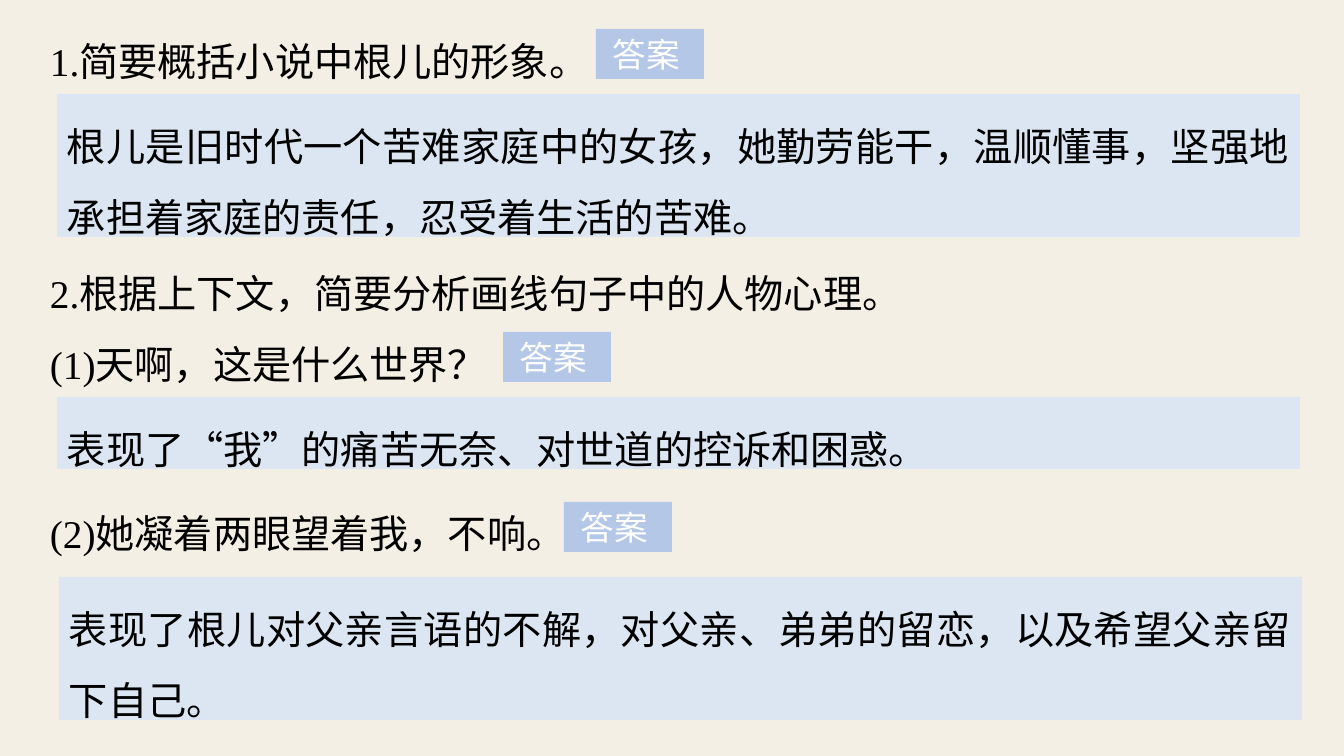
from pptx import Presentation
from pptx.dml.color import RGBColor as Rgb
from pptx.enum.shapes import MSO_SHAPE as Kind
from pptx.enum.text import MSO_ANCHOR as Anchor, PP_ALIGN as Align
from pptx.util import Pt
from lxml.etree import SubElement as Sub
from pptx.oxml.ns import qn

SCALE = 914400 / 100.8
HEX = {"page": "F3EFE5", "ink": "000000", "panel": "DCE6F2",
       "tag": "B4C7E7", "light": "FFFFFF"}
SERIF, SANS, HAN = "Times New Roman", "Arial", "Noto Sans CJK SC"


def px(num):
    return round(num * SCALE)


def style(run, size, face, color):
    font = run.font
    font.size = Pt(size)
    font.name = face
    font.color.rgb = Rgb.from_string(HEX[color])
    # East Asian typeface
    Sub(run._r.get_or_add_rPr(), qn("a:ea")).set("typeface", HAN)


def inset(frame, left, top, right):
    frame.word_wrap = True
    frame.vertical_anchor = Anchor.TOP
    frame.margin_left, frame.margin_right = px(left), px(right)
    frame.margin_top = frame.margin_bottom = px(top)


def body(para):
    para.alignment = Align.JUSTIFY
    para.line_spacing = 1.5
    for run in para.runs:
        quote = run.text in "“”"
        style(run, 28, HAN if quote else SERIF, "ink")


def ask(slide, top, high, text):
    box = slide.shapes.add_textbox(px(37), px(top), px(1265), px(high))
    frame = box.text_frame
    inset(frame, 13, 7, 13)
    frame.text = text
    for para in frame.paragraphs:
        body(para)


def block(slide, left, top, wide, high, color):
    shape = slide.shapes.add_shape(
        Kind.RECTANGLE, px(left), px(top), px(wide), px(high))
    shape.shadow.inherit = False
    shape.fill.solid()
    shape.fill.fore_color.rgb = Rgb.from_string(HEX[color])
    shape.line.fill.background()
    return shape.text_frame


def tag(slide, left, top):
    frame = block(slide, left, top, 108, 50, "tag")
    inset(frame, 17, 5, 5)
    frame.text = "答案"
    para = frame.paragraphs[0]
    para.alignment = Align.LEFT
    style(para.runs[0], 24, SANS, "light")


def reply(slide, left, top, high, parts):
    frame = block(slide, left, top, 1243, high, "panel")
    inset(frame, 10, 5, 10)
    para = frame.paragraphs[0]
    for part in parts:
        para.add_run().text = part
    body(para)


def main():
    deck = Presentation()
    deck.slide_width, deck.slide_height = px(1344), px(756)
    slide = deck.slides.add_slide(deck.slide_layouts[6])
    fill = slide.background.fill
    fill.solid()
    fill.fore_color.rgb = Rgb.from_string(HEX["page"])

    # Question 1
    ask(slide, 7, 76, "1.简要概括小说中根儿的形象。")
    tag(slide, 596, 29)
    reply(slide, 57, 94, 143, [
        "根儿是旧时代一个苦难家庭中的女孩，她勤劳能干，温顺懂事，"
        "坚强地承担着家庭的责任，忍受着生活的苦难。"])

    # Question 2, part 1
    ask(slide, 239, 156,
        "2.根据上下文，简要分析画线句子中的人物心理。\n(1)天啊，这是什么世界？")
    tag(slide, 503, 332)
    reply(slide, 57, 397, 72, [
        "表现了", "“", "我", "”", "的痛苦无奈、对世道的控诉和困惑。"])

    # Question 2, part 2
    ask(slide, 479, 76, "(2)她凝着两眼望着我，不响。")
    tag(slide, 564, 502)
    reply(slide, 59, 577, 143, [
        "表现了根儿对父亲言语的不解，对父亲、弟弟的留恋，"
        "以及希望父亲留下自己。"])

    deck.save("out.pptx")


if __name__ == "__main__":
    main()
